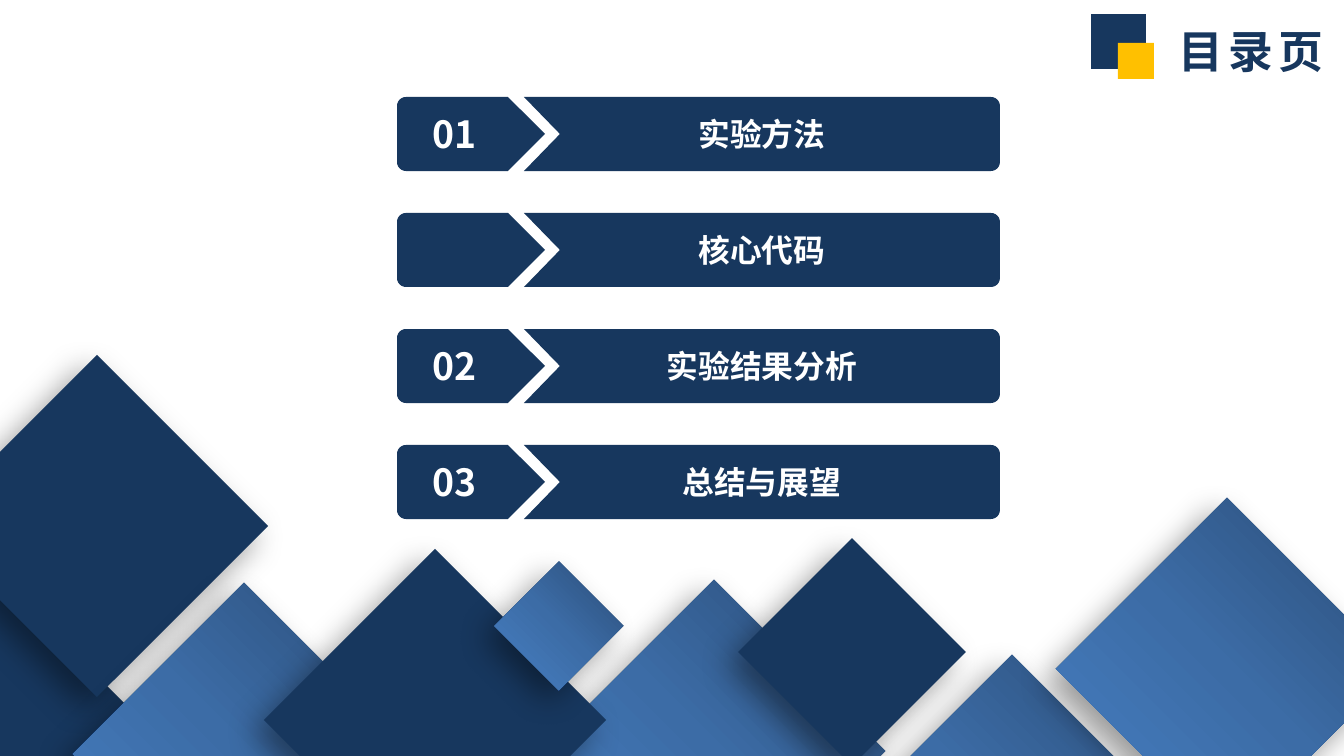
from math import cos, sin, radians
from pptx import Presentation
from pptx.dml.color import RGBColor
from pptx.enum.shapes import MSO_SHAPE as Shape
from pptx.enum.text import MSO_ANCHOR as Anchor, PP_ALIGN as Align
from pptx.oxml import parse_xml
from pptx.oxml.ns import nsdecls
from pptx.util import Pt

PX = 9144000 / 1344
FONT = "Noto Sans CJK SC"
COLORS = {"navy": "17375E", "gold": "FFC000", "white": "FFFFFF"}
BLUES = [(0, "2A4C75"), (50, "3C6CA6"), (100, "4780C5")]

# Content
TITLE = "目录页"
ITEMS = [("01", "实验方法"), ("", "核心代码"), ("02", "实验结果分析"), ("03", "总结与展望")]

# Row layout: first top, pitch, height, corner radius
TOP, STEP, HIGH, ROUND = 97, 116, 74, 9
LEFT, NECK, TIP = 397, 508, 545
START, NOTCH, RIGHT = 524, 560, 1000

# Title squares: left, top, side, colour
MARKS = [(1091, 14, 55, "navy"), (1118, 43, 36, "gold")]

# Diamonds, back to front: centre x, centre y, side, fill
DIAMONDS = [
    (-23, 727, 242, "navy"), (97, 526, 242, "navy"),
    (244, 754, 242, "blues"), (714, 751, 242, "blues"),
    (435, 720, 242, "navy"), (852, 652, 161, "navy"),
    (1012, 826, 242, "blues"), (1227, 669, 242, "blues"),
    (559, 626, 91, "blues"),
]


def emu(n):
    return round(n * PX)


def rgb(name):
    return RGBColor.from_string(COLORS[name])


def paint(shape, color):
    shape.shadow.inherit = False
    shape.fill.solid()
    shape.fill.fore_color.rgb = rgb(color)
    shape.line.fill.background()


def write(shape, text, size, color, align, insets):
    frame = shape.text_frame
    frame.word_wrap = True
    frame.margin_left, frame.margin_top, frame.margin_right, frame.margin_bottom = map(emu, insets)
    para = frame.paragraphs[0]
    para.text, para.alignment = text, align
    font = para.font
    font.name, font.size, font.bold = FONT, Pt(size), True
    font.color.rgb = rgb(color)
    # East Asian face
    font._element.append(parse_xml(f'<a:ea {nsdecls("a")} typeface="{FONT}"/>'))
    return frame, font


def arc(x, y, first):
    """Quarter circle around (x, y), clockwise from the first angle."""
    turns = [radians(first + 15 * i) for i in range(7)]
    return [(x + ROUND * cos(t), y + ROUND * sin(t)) for t in turns]


def outline(points, color):
    points = [(emu(x), emu(y)) for x, y in points]
    pen = shapes.build_freeform(*points[0])
    pen.add_line_segments(points[1:], close=True)
    shape = pen.convert_to_shape()
    paint(shape, color)
    return shape


def label(shape, text, size, insets):
    frame, _ = write(shape, text, size, "white", Align.CENTER, insets)
    frame.vertical_anchor = Anchor.MIDDLE


def square(x, y, side, color):
    shape = shapes.add_shape(Shape.RECTANGLE, emu(x), emu(y), emu(side), emu(side))
    paint(shape, color)
    return shape


def blend(shape):
    stops = "".join(f'<a:gs pos="{pos * 1000}"><a:srgbClr val="{color}"/></a:gs>'
                    for pos, color in BLUES)
    grad = parse_xml(f'<a:gradFill {nsdecls("a")} rotWithShape="1"><a:gsLst>{stops}</a:gsLst>'
                     '<a:lin ang="5400000" scaled="0"/></a:gradFill>')
    props = shape._element.spPr
    props.replace(props.find("{*}solidFill"), grad)


def shade(shape):
    shape._element.spPr.find("{*}effectLst").append(parse_xml(
        f'<a:outerShdw {nsdecls("a")} blurRad="{Pt(17)}" dist="{Pt(9)}" dir="8100000" '
        'algn="tr" rotWithShape="0"><a:srgbClr val="000000">'
        '<a:alpha val="40000"/></a:srgbClr></a:outerShdw>'))


deck = Presentation()
deck.slide_width, deck.slide_height = emu(1344), emu(756)
shapes = deck.slides.add_slide(deck.slide_layouts[6]).shapes

# Contents rows
for row, (number, text) in enumerate(ITEMS):
    top = TOP + row * STEP
    mid, end = top + HIGH / 2, top + HIGH
    bar = outline([(START, top), *arc(RIGHT - ROUND, top + ROUND, -90),
                   *arc(RIGHT - ROUND, end - ROUND, 0), (START, end), (NOTCH, mid)], "navy")
    label(bar, text, 17, (15, 7, 15, 7))
    tag = outline([(NECK, top), (TIP, mid), (NECK, end),
                   *arc(LEFT + ROUND, end - ROUND, 90),
                   *arc(LEFT + ROUND, top + ROUND, 180)], "navy")
    if number:
        label(tag, number, 20, (15, 7, 47, 7))

# Title
for mark in MARKS:
    square(*mark)
box = shapes.add_textbox(emu(1165), emu(17), emu(233), emu(67))
_, font = write(box, TITLE, 24, "navy", Align.LEFT, (13, 7, 13, 7))
font._element.set("spc", "300")

# Diamonds
for x, y, side, fill in DIAMONDS:
    shape = square(x - side / 2, y - side / 2, side, "navy")
    shape.rotation = 45
    if fill == "blues":
        blend(shape)
    shade(shape)

deck.save("out.pptx")
